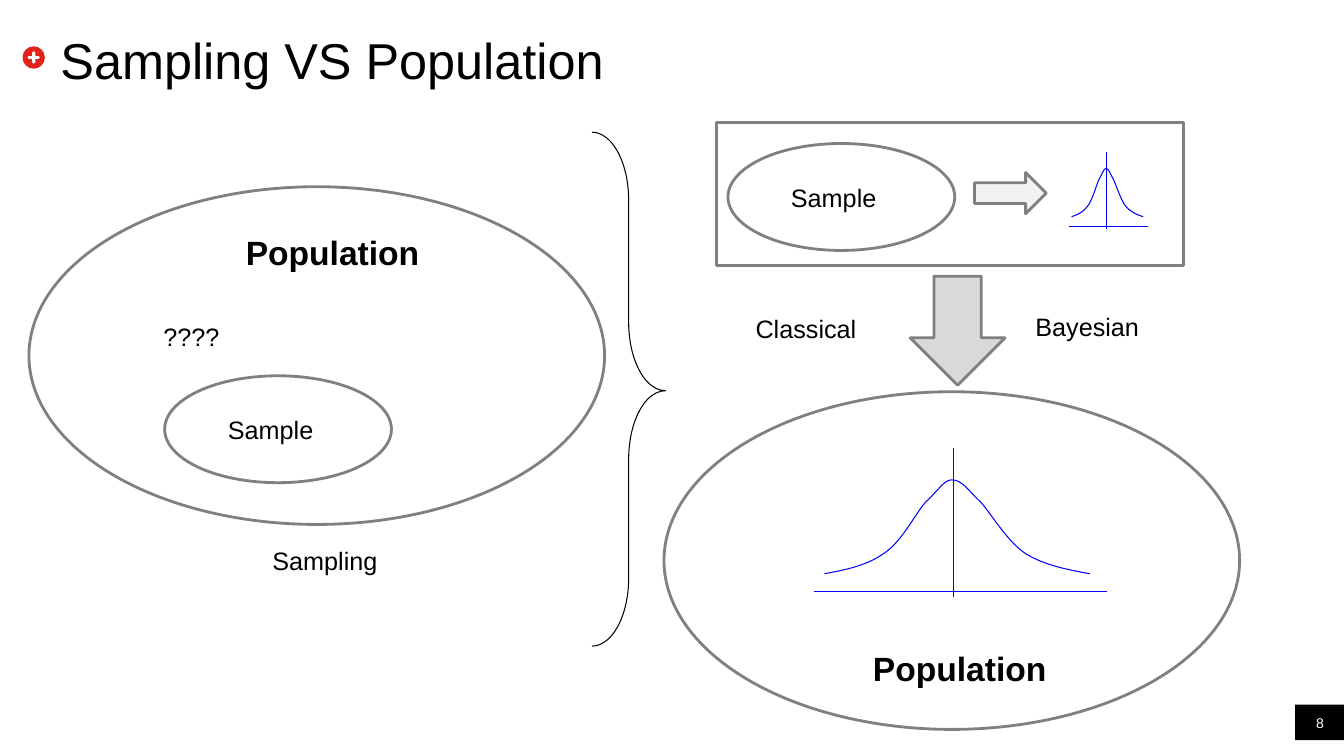
from dataclasses import dataclass

from lxml import etree
from pptx import Presentation
from pptx.dml.color import RGBColor
from pptx.enum.shapes import MSO_CONNECTOR, MSO_SHAPE
from pptx.enum.text import MSO_ANCHOR, MSO_AUTO_SIZE, PP_ALIGN
from pptx.oxml.ns import qn
from pptx.util import Pt

OVAL = MSO_SHAPE.OVAL
RECTANGLE = MSO_SHAPE.RECTANGLE
DOWN_ARROW = MSO_SHAPE.DOWN_ARROW
RIGHT_ARROW = MSO_SHAPE.RIGHT_ARROW
RIGHT_BRACE = MSO_SHAPE.RIGHT_BRACE
STRAIGHT = MSO_CONNECTOR.STRAIGHT
LEFT, CENTER, JUSTIFY = PP_ALIGN.LEFT, PP_ALIGN.CENTER, PP_ALIGN.JUSTIFY
TOP, MIDDLE, BOTTOM = MSO_ANCHOR.TOP, MSO_ANCHOR.MIDDLE, MSO_ANCHOR.BOTTOM
FIT_SHAPE, NO_FIT = MSO_AUTO_SIZE.SHAPE_TO_FIT_TEXT, MSO_AUTO_SIZE.NONE


@dataclass(frozen=True)
class Theme:
    font: str = "Arial"
    ink: str = "000000"
    paper: str = "FFFFFF"
    outline: str = "808080"
    curve: str = "0000FF"
    accent: str = "E2231A"
    inference: str = "D9D9D9"
    estimate: str = "F2F2F2"
    title_size: float = 36
    heading_size: float = 24
    label_size: float = 18
    number_size: float = 10
    outline_width: float = 2
    hairline: float = 0.75


THEME = Theme()


@dataclass(frozen=True)
class Box:
    left: float
    top: float
    width: float
    height: float

    def lengths(self) -> tuple:
        return Pt(self.left), Pt(self.top), Pt(self.width), Pt(self.height)


@dataclass(frozen=True)
class Figure:
    kind: int
    box: Box
    fill: str | None = None
    line: str | None = THEME.outline
    width: float = THEME.outline_width
    adjustments: tuple = ()


@dataclass(frozen=True)
class Label:
    text: str
    box: Box
    size: float = THEME.label_size
    bold: bool = False
    align: int = CENTER


@dataclass(frozen=True)
class Distribution:
    bell: Box
    axis_left: float
    axis_right: float
    baseline: float
    center: float
    center_top: float
    center_bottom: float


BELL = (
    (0, 1),
    (0.08, 0.96), (0.16, 0.91), (0.22, 0.79),
    (0.29, 0.67), (0.34, 0.37), (0.38, 0.24),
    (0.43, 0.11), (0.45, 0), (0.48, 0),
    (0.52, 0), (0.54, 0.11), (0.59, 0.24),
    (0.63, 0.37), (0.69, 0.66), (0.76, 0.79),
    (0.83, 0.91), (0.92, 0.96), (1, 1),
)
DISC_QUARTER = ((8, 4.4), (4.4, 8), (0, 8))
PLUS_QUARTER = (
    (4.6, 0.7), (4.2, 1.2), (3.6, 1.2),
    (1.2, 1.2), (1.2, 1.2), (1.2, 1.2),
    (1.2, 3.6), (1.2, 3.6), (1.2, 3.6),
    (1.2, 4.2), (0.7, 4.6), (0, 4.6),
)


def population(left: float, top: float) -> Figure:
    return Figure(OVAL, Box(left, top, 411.2, 241.2))


def sample(left: float, top: float) -> Figure:
    return Figure(OVAL, Box(left, top, 162, 76.4))


FIGURES = (
    Figure(RECTANGLE, Box(925.2, 503.4, 34.8, 25.4), THEME.ink, None),
    population(20.7, 133.4),
    sample(117.6, 268.4),
    sample(520, 102.5),
    population(474.3, 279.8),
    Figure(DOWN_ARROW, Box(650.2, 197.3, 67.7, 77.8), THEME.inference),
    Figure(RIGHT_ARROW, Box(696.1, 123.2, 51.3, 29.5), THEME.estimate),
    Figure(RECTANGLE, Box(511.9, 87.6, 333.6, 101.8)),
    Figure(RIGHT_BRACE, Box(422.8, 94.4, 52.6, 367.2), None, THEME.ink,
           THEME.hairline, (0.927, 0.503)),
)

LABELS = (
    Label("Population", Box(140.4, 162, 194.4, 36), THEME.heading_size, True),
    Label("Sample", Box(130.3, 292.5, 126, 28.8)),
    Label("Sample", Box(532.5, 126.6, 126, 28.8)),
    Label("Population", Box(588.4, 459.4, 194.4, 36), THEME.heading_size, True),
    Label("Sampling", Box(169.1, 386, 126, 28.8)),
    Label("Classical", Box(532.6, 220.3, 97.2, 28.8), align=LEFT),
    Label("Bayesian", Box(732.5, 218.9, 97.2, 28.8), align=LEFT),
    Label("????", Box(109.7, 226.1, 247.7, 28.8), align=JUSTIFY),
)

DISTRIBUTIONS = (
    Distribution(Box(765.4, 120.3, 51.1, 34.5), 763.4, 820, 161.5, 790.4, 108.3, 163.8),
    Distribution(Box(589, 342.8, 189.4, 67), 581.6, 790.6, 422.5, 681, 320, 426.6),
)


def style(shape, fill: str | None, line: str | None, width: float) -> None:
    shape.shadow.inherit = False
    if fill:
        shape.fill.solid()
        shape.fill.fore_color.rgb = RGBColor.from_string(fill)
    else:
        shape.fill.background()
    if line:
        shape.line.color.rgb = RGBColor.from_string(line)
        shape.line.width = Pt(width)
    else:
        shape.line.fill.background()


def draw_figure(shapes, figure: Figure) -> None:
    shape = shapes.add_shape(figure.kind, *figure.box.lengths())
    for index, value in enumerate(figure.adjustments):
        shape.adjustments[index] = value
    style(shape, figure.fill, figure.line, figure.width)


def write(shapes, text: str, box: Box, *, size: float = THEME.label_size,
          color: str = THEME.ink, bold: bool = False, align: int = LEFT,
          anchor: int = TOP, inset: bool = True) -> None:
    frame = shapes.add_textbox(*box.lengths()).text_frame
    frame.word_wrap = True
    frame.auto_size = FIT_SHAPE if inset else NO_FIT
    frame.vertical_anchor = anchor
    if not inset:
        frame.margin_left = frame.margin_right = Pt(0)
        frame.margin_top = frame.margin_bottom = Pt(0)
    paragraph = frame.paragraphs[0]
    paragraph.alignment = align
    run = paragraph.add_run()
    run.text = text
    run.font.name = THEME.font
    run.font.size = Pt(size)
    run.font.bold = bold
    run.font.color.rgb = RGBColor.from_string(color)


def draw_axis(shapes, x1: float, y1: float, x2: float, y2: float) -> None:
    axis = shapes.add_connector(STRAIGHT, Pt(x1), Pt(y1), Pt(x2), Pt(y2))
    axis.line.color.rgb = RGBColor.from_string(THEME.curve)
    axis.line.width = Pt(THEME.hairline)
    etree.SubElement(axis._element.spPr, qn("a:effectLst"))


def draw_curves(shapes, contours: list, closed: bool):
    outlines = [[(Pt(x), Pt(y)) for x, y in contour] for contour in contours]
    builder = shapes.build_freeform(*outlines[0][0])
    for index, (start, *controls) in enumerate(outlines):
        if index:
            builder.move_to(*start)
        builder.add_line_segments(controls, close=closed)
    shape = builder.convert_to_shape()
    segments = [s for s in shape._element.iter(qn("a:lnTo"))]
    if closed:
        for start in list(shape._element.iter(qn("a:close"))):
            last = start.getprevious()
            if last.tag == qn("a:lnTo") and len(segments) % 3:
                segments.remove(last)
                last.getparent().remove(last)
    for first, second, end in zip(*[iter(segments)] * 3):
        first.tag
        curve = etree.Element(qn("a:cubicBezTo"))
        first.addprevious(curve)
        for segment in (first, second, end):
            curve.append(segment[0])
            segment.getparent().remove(segment)
    return shape


def draw_distribution(shapes, dist: Distribution) -> None:
    group = shapes.add_group_shape().shapes
    draw_axis(group, dist.center, dist.center_top, dist.center, dist.center_bottom)
    draw_axis(group, dist.axis_left, dist.baseline, dist.axis_right, dist.baseline)
    bell = [(dist.bell.left + x * dist.bell.width, dist.bell.top + y * dist.bell.height)
            for x, y in BELL]
    style(draw_curves(group, [bell], False), None, THEME.curve, THEME.hairline)


def four_turns(quarter: tuple, x: float, y: float, direction: int) -> list:
    points = [(quarter[-1][1], 0)]
    for c, s in ((1, 0), (0, 1), (-1, 0), (0, -1)):
        points += [(c * u - s * v, s * u + c * v) for u, v in quarter]
    return [(x + u, y + direction * v) for u, v in points]


def draw_title_bullet(shapes, x: float, y: float) -> None:
    contours = [four_turns(DISC_QUARTER, x, y, 1), four_turns(PLUS_QUARTER, x, y, -1)]
    style(draw_curves(shapes, contours, True), THEME.accent, None, 0)


def main() -> None:
    deck = Presentation()
    deck.slide_width, deck.slide_height = Pt(960), Pt(540)
    shapes = deck.slides.add_slide(deck.slide_layouts[6]).shapes
    for figure in FIGURES:
        draw_figure(shapes, figure)
    draw_title_bullet(shapes, 24.1, 41.1)
    write(shapes, "Sampling VS Population", Box(43.2, 21.6, 872, 41),
          size=THEME.title_size, anchor=MIDDLE, inset=False)
    for label in LABELS:
        write(shapes, label.text, label.box, size=label.size, bold=label.bold,
              align=label.align)
    for dist in DISTRIBUTIONS:
        draw_distribution(shapes, dist)
    write(shapes, "8", Box(925.2, 503.4, 35.2, 19.2), size=THEME.number_size,
          color=THEME.paper, align=CENTER, anchor=BOTTOM, inset=False)
    deck.save("out.pptx")


if __name__ == "__main__":
    main()
